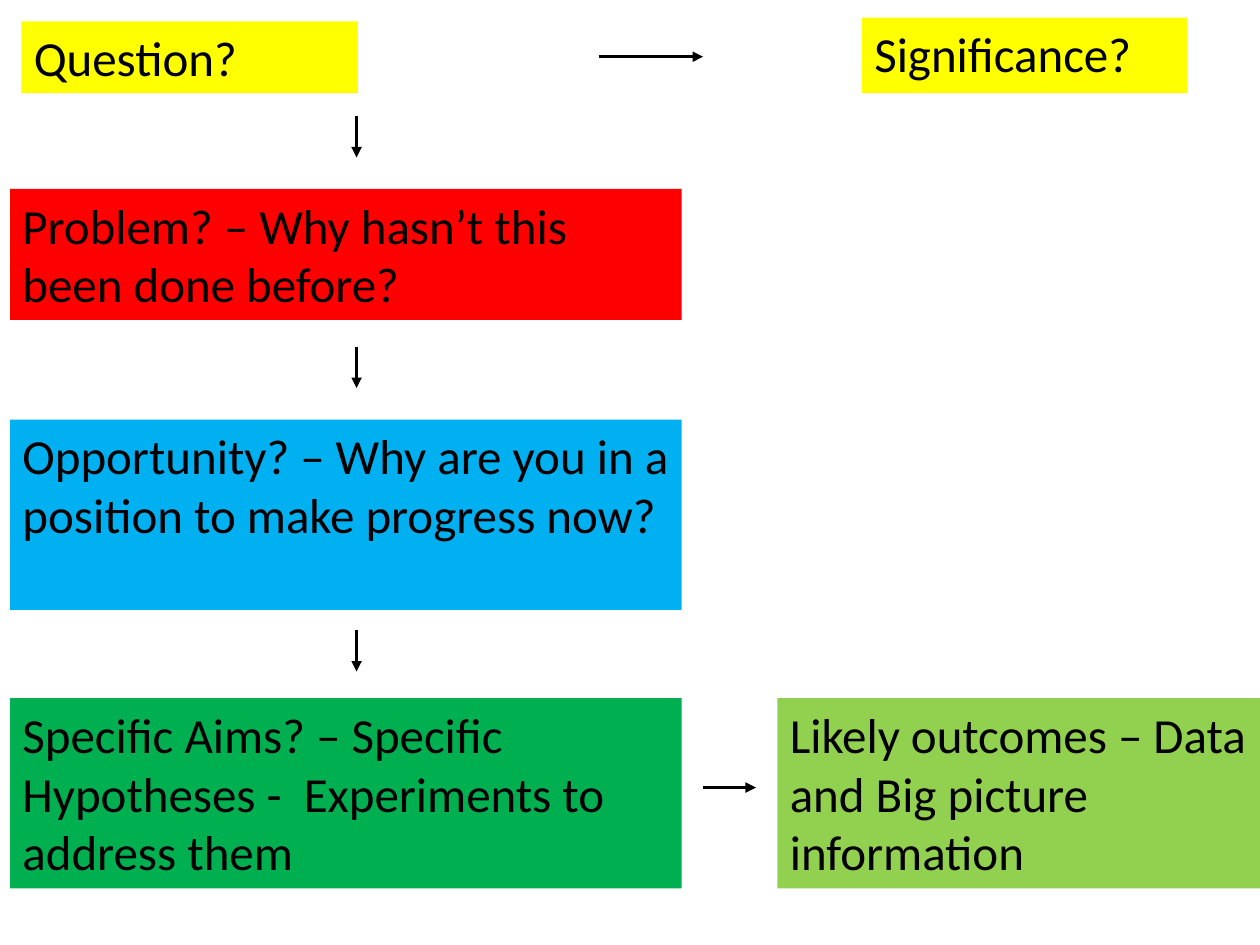
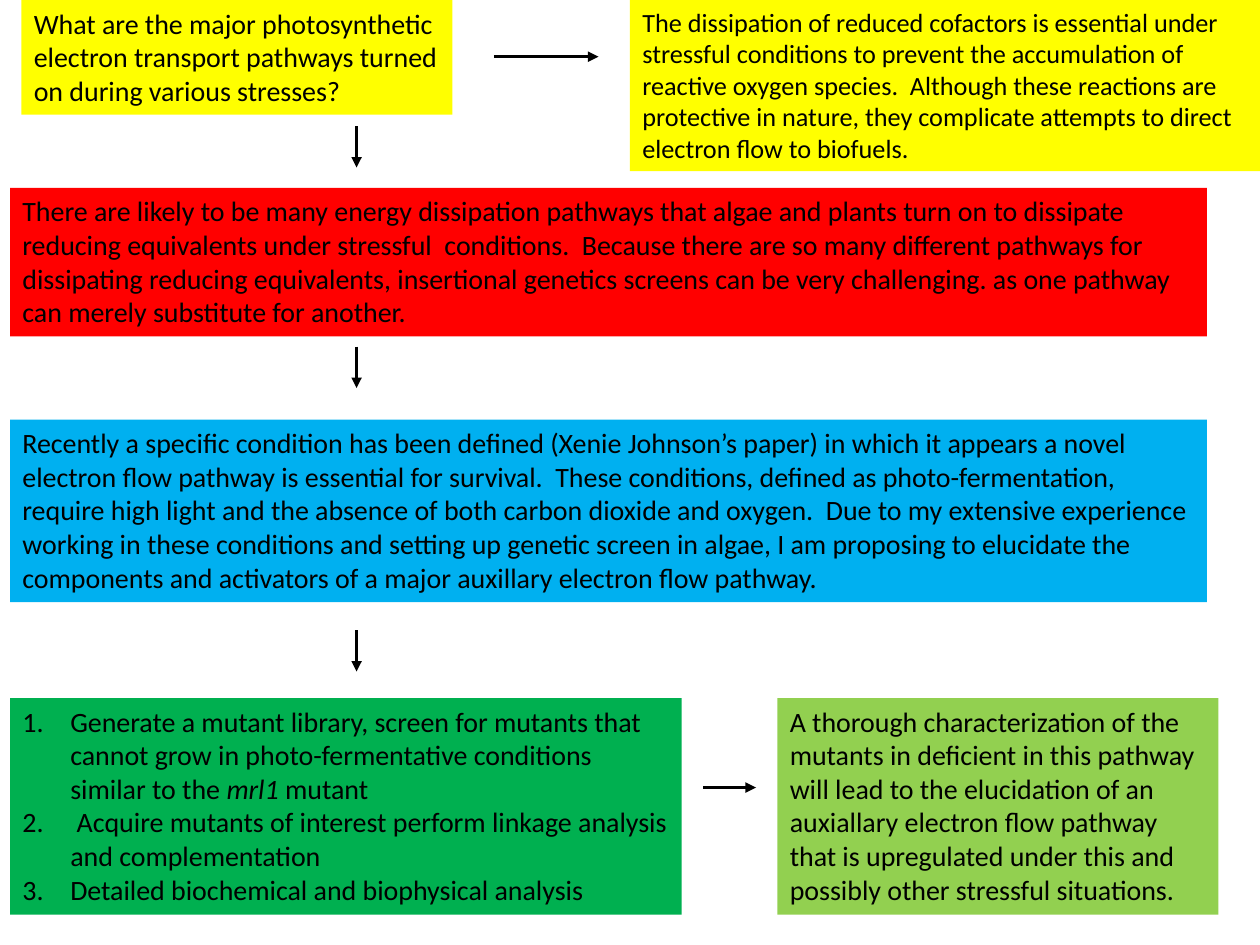
"""Build two flow-chart slides: a research proposal outline and a worked example."""
from lxml.etree import SubElement
from pptx import Presentation
from pptx.dml.color import RGBColor
from pptx.enum.shapes import MSO_CONNECTOR
from pptx.enum.text import MSO_AUTO_SIZE
from pptx.oxml.ns import qn
from pptx.util import Inches, Pt

YELLOW = RGBColor(0xFF, 0xFF, 0x00)
RED = RGBColor(0xFF, 0x00, 0x00)
BLUE = RGBColor(0x00, 0xB0, 0xF0)
GREEN = RGBColor(0x00, 0xB0, 0x50)
LIME = RGBColor(0x92, 0xD0, 0x50)
BLACK = RGBColor(0x00, 0x00, 0x00)
FONT = "Calibri"

LEFT, OUTCOME_LEFT = 0.08, 6.17
OPPORTUNITY_TOP, AIMS_TOP = 3.33, 5.54
COLUMN_WIDTH = 5.33
NUMBER_INDENT = 0.38
DOWN_X, DOWN_LENGTH = 2.83, 0.33
SIGNIFICANCE_Y, SIGNIFICANCE_LENGTH = 0.45, 0.83
SHARED_DOWN_TOPS = [2.75, 5]
OUTCOME_ARROW = (5.58, 6.25, 6, 6.25)

AIMS = [
    ["Generate a mutant library, screen for mutants that cannot grow in "
     "photo-fermentative conditions similar to the ", ("mrl1",), " mutant"],
    [" Acquire mutants of interest perform linkage analysis and complementation"],
    ["Detailed biochemical and biophysical analysis"],
]

SLIDES = [
    {
        "significance_arrow_left": 4.75,
        "question_arrow_top": 0.92,
        "boxes": [
            ("Question?", YELLOW, 28, (0.17, 0.17, 2.67, 0.57)),
            ("Problem? – Why hasn’t this been done before?", RED, 28,
             (LEFT, 1.5, COLUMN_WIDTH, 1.04)),
            ("Opportunity? – Why are you in a position to make progress now?", BLUE, 28,
             (LEFT, OPPORTUNITY_TOP, COLUMN_WIDTH, 1.51)),
            ("Specific Aims? – Specific Hypotheses -  Experiments to address them", GREEN, 28,
             (LEFT, AIMS_TOP, COLUMN_WIDTH, 1.51)),
            ("Likely outcomes – Data and Big picture information", LIME, 28,
             (OUTCOME_LEFT, AIMS_TOP, 3.83, 1.51)),
            ("Significance?", YELLOW, 28, (6.84, 0.14, 2.58, 0.6)),
        ],
    },
    {
        "significance_arrow_left": 3.92,
        "question_arrow_top": 1,
        "boxes": [
            ("What are the major photosynthetic electron transport pathways turned on "
             "during various stresses?", YELLOW, 16, (0.17, 0, 3.42, 0.91)),
            ("There are likely to be many energy dissipation pathways that algae and plants "
             "turn on to dissipate reducing equivalents under stressful  conditions.  Because "
             "there are so many different pathways for dissipating reducing equivalents, "
             "insertional genetics screens can be very challenging. as one pathway can merely "
             "substitute for another.", RED, 16, (LEFT, 1.49, 9.5, 1.18)),
            ("Recently a specific condition has been defined (Xenie Johnson’s paper) in which "
             "it appears a novel electron flow pathway is essential for survival.  These "
             "conditions, defined as photo-fermentation, require high light and the absence of "
             "both carbon dioxide and oxygen.  Due to my extensive experience working in these "
             "conditions and setting up genetic screen in algae, I am proposing to elucidate "
             "the components and activators of a major auxillary electron flow pathway.",
             BLUE, 16, (LEFT, OPPORTUNITY_TOP, 9.5, 1.45)),
            (AIMS, GREEN, 16, (LEFT, AIMS_TOP, COLUMN_WIDTH, 1.72)),
            ("A thorough characterization of the mutants in deficient in this pathway will "
             "lead to the elucidation of an auxiallary electron flow pathway that is "
             "upregulated under this and possibly other stressful situations.", LIME, 16,
             (OUTCOME_LEFT, AIMS_TOP, 3.5, 1.72)),
            ("The dissipation of reduced cofactors is essential under stressful conditions to "
             "prevent the accumulation of reactive oxygen species.  Although these reactions "
             "are protective in nature, they complicate attempts to direct electron flow to "
             "biofuels.", YELLOW, 15, (5, 0, 5, 1.36)),
        ],
    },
]


def number(paragraph):
    properties = paragraph._p.get_or_add_pPr()
    properties.set("marL", str(Inches(NUMBER_INDENT)))
    properties.set("indent", str(-Inches(NUMBER_INDENT)))
    SubElement(properties, qn("a:buFont"), typeface="+mj-lt")
    SubElement(properties, qn("a:buAutoNum"), type="arabicPeriod")


def add_box(slide, content, color, size, place):
    box = slide.shapes.add_textbox(*map(Inches, place))
    box.fill.solid()
    box.fill.fore_color.rgb = color
    frame = box.text_frame
    frame.word_wrap = True
    frame.auto_size = MSO_AUTO_SIZE.NONE
    numbered = isinstance(content, list)
    for index, pieces in enumerate(content if numbered else [[content]]):
        paragraph = frame.add_paragraph() if index else frame.paragraphs[0]
        paragraph.font.name = FONT
        paragraph.font.size = Pt(size)
        paragraph.font.color.rgb = BLACK
        if numbered:
            number(paragraph)
        for piece in pieces:
            run = paragraph.add_run()
            if isinstance(piece, tuple):
                run.text = piece[0]
                run.font.italic = True
            else:
                run.text = piece


def add_arrow(slide, *ends):
    arrow = slide.shapes.add_connector(MSO_CONNECTOR.STRAIGHT, *map(Inches, ends))
    arrow.line.color.rgb = BLACK
    arrow.line.width = Pt(2)
    SubElement(arrow.line._get_or_add_ln(), qn("a:tailEnd"), type="triangle")
    SubElement(arrow._element.spPr, qn("a:effectLst"))


deck = Presentation()
deck.slide_width, deck.slide_height = Inches(10), Inches(7.5)
blank_layout = deck.slide_layouts[6]
for flow in SLIDES:
    slide = deck.slides.add_slide(blank_layout)
    for box in flow["boxes"]:
        add_box(slide, *box)
    start = flow["significance_arrow_left"]
    add_arrow(slide, start, SIGNIFICANCE_Y, start + SIGNIFICANCE_LENGTH, SIGNIFICANCE_Y)
    for top in [flow["question_arrow_top"], *SHARED_DOWN_TOPS]:
        add_arrow(slide, DOWN_X, top, DOWN_X, top + DOWN_LENGTH)
    add_arrow(slide, *OUTCOME_ARROW)
deck.save("out.pptx")
